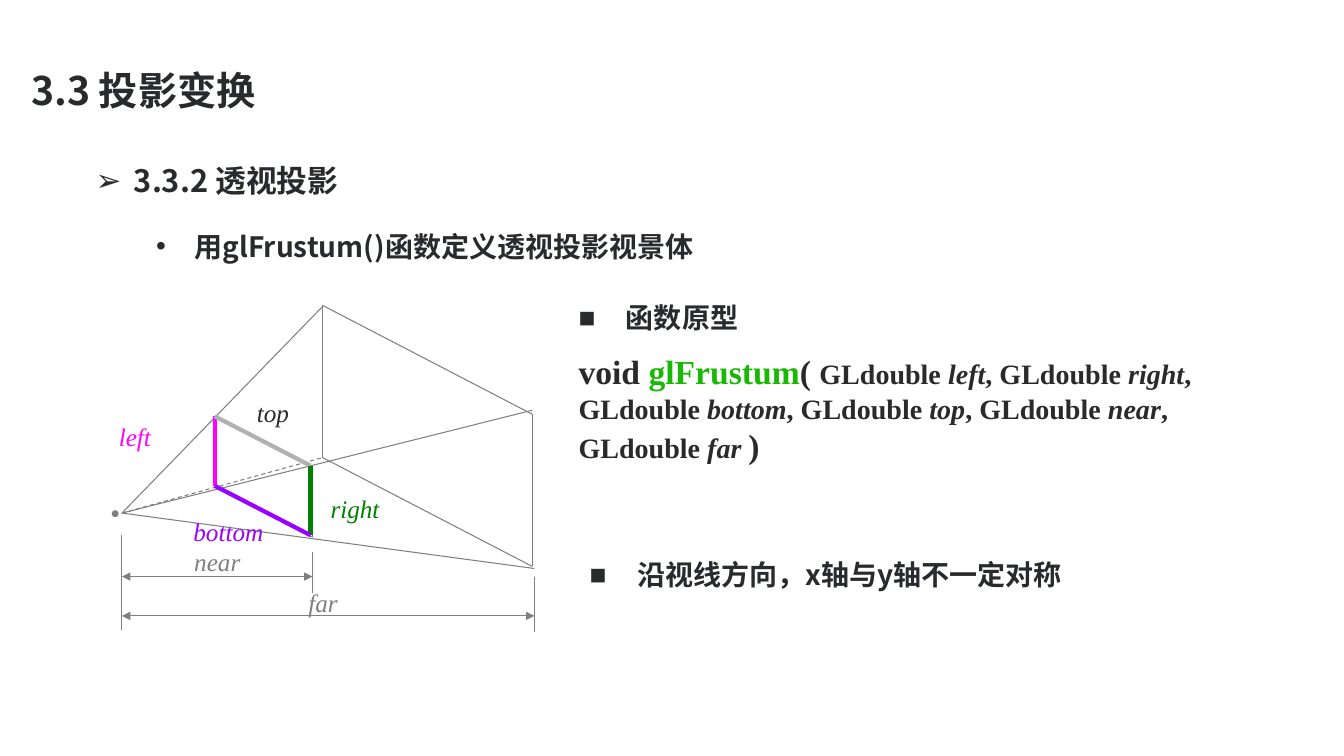
from dataclasses import dataclass

from lxml import etree
from pptx import Presentation
from pptx.dml.color import RGBColor
from pptx.enum.dml import MSO_LINE
from pptx.enum.shapes import MSO_CONNECTOR
from pptx.enum.text import MSO_ANCHOR, MSO_AUTO_SIZE, PP_ALIGN
from pptx.oxml.ns import qn
from pptx.util import Inches, Pt

STRAIGHT = MSO_CONNECTOR.STRAIGHT
DASH = MSO_LINE.DASH
TOP, MIDDLE = MSO_ANCHOR.TOP, MSO_ANCHOR.MIDDLE
LEFT, CENTER = PP_ALIGN.LEFT, PP_ALIGN.CENTER
GROW = MSO_AUTO_SIZE.SHAPE_TO_FIT_TEXT


@dataclass(frozen=True)
class Theme:
    """Colours, fonts, type sizes and line widths of the slide."""
    heading: str = "282A2C"
    ink: str = "2A2A2A"
    grey: str = "7F7F7F"
    function: str = "19B804"
    left: str = "FF00FF"
    top: str = "B0B1B3"
    right: str = "008000"
    bottom: str = "9900FF"
    sans: str = "Noto Sans CJK SC"
    serif: str = "Times New Roman"
    symbol: str = "Arial"
    title_size: int = 28
    section_size: int = 22
    body_size: int = 20
    code_size: int = 24
    label_size: int = 18
    thin: float = 0.75
    thick: float = 3


class FrustumSlide:
    """Draws text and lines on one slide in a shared style."""

    def __init__(self, presentation, theme):
        self.theme = theme
        self.slide = presentation.slides.add_slide(presentation.slide_layouts[6])

    def text_box(self, left, top, width, height, inset=(0.1, 0.05), anchor=TOP, grow=True):
        """Add an empty wrapping text box and return its text frame."""
        box = self.slide.shapes.add_textbox(
            Inches(left), Inches(top), Inches(width), Inches(height))
        across, down = map(Inches, inset)
        layout = {"word_wrap": True, "vertical_anchor": anchor,
                  "margin_left": across, "margin_right": across,
                  "margin_top": down, "margin_bottom": down}
        if grow:
            layout["auto_size"] = GROW
        for name, value in layout.items():
            setattr(box.text_frame, name, value)
        return box.text_frame

    def paragraph(self, frame, runs, bullet=None, indent=(0, 0), **layout):
        """Fill the first empty paragraph, or a new one, with runs."""
        paragraph = frame.paragraphs[0]
        if paragraph.runs:
            paragraph = frame.add_paragraph()
        for name, value in layout.items():
            setattr(paragraph, name, value)
        if bullet:
            properties = paragraph._p.get_or_add_pPr()
            properties.set("marL", str(Inches(indent[0])))
            properties.set("indent", str(Inches(indent[1])))
            etree.SubElement(properties, qn("a:buFont"), typeface=self.theme.symbol)
            etree.SubElement(properties, qn("a:buChar"), char=bullet)
        for wording, style in runs:
            self.run(paragraph, wording, **style)

    def run(self, paragraph, wording, face, size, colour, **style):
        """Add one run of styled text."""
        run = paragraph.add_run()
        run.text = wording
        run.font.color.rgb = RGBColor.from_string(colour)
        for name, value in {"name": face, "size": Pt(size), **style}.items():
            setattr(run.font, name, value)
        etree.SubElement(run._r.get_or_add_rPr(), qn("a:ea"), typeface=face)

    def label(self, wording, left, top, width, colour, align=LEFT):
        """Add an italic label to the diagram."""
        style = {"face": self.theme.serif, "size": self.theme.label_size,
                 "colour": colour, "italic": True}
        self.paragraph(self.text_box(left, top, width, 0.4), [(wording, style)],
                       alignment=align)

    def line(self, start, end, colour=None, width=None, dash=None, arrows=False):
        """Add a straight line, with arrowheads at both ends if asked."""
        connector = self.slide.shapes.add_connector(
            STRAIGHT, *map(Inches, (*start, *end)))
        connector.line.color.rgb = RGBColor.from_string(colour or self.theme.grey)
        connector.line.width = Pt(width or self.theme.thin)
        if dash:
            connector.line.dash_style = dash
        if arrows:
            outline = connector.line._get_or_add_ln()
            for tip in ("a:headEnd", "a:tailEnd"):
                etree.SubElement(outline, qn(tip), type="triangle")
        etree.SubElement(connector._element.spPr, qn("a:effectLst"))

    def plane(self, corner, across, slope, height, colours=(None,) * 4, width=None):
        """Add the left, top, right and bottom edges of a clipping plane."""
        x, y = corner
        upper_right = (x + across, y + slope)
        lower_left = (x, y + height)
        lower_right = (x + across, y + slope + height)
        edges = ((corner, lower_left), (corner, upper_right),
                 (upper_right, lower_right), (lower_left, lower_right))
        for (start, end), colour in zip(edges, colours):
            self.line(start, end, colour, width)


def draw_headings(page):
    """Add the title and the section headings."""
    theme = page.theme
    heading = {"face": theme.sans, "colour": theme.heading, "bold": True}
    title = page.text_box(0.26, 0.3, 12, 1.25, (0.05, 0.05), MIDDLE, False)
    page.paragraph(title, [("3.3 投影变换", {**heading, "size": theme.title_size})],
                   line_spacing=0.9)
    section = page.text_box(0.45, 1.47, 12, 1.81, (0.1, 0.1), grow=False)
    page.paragraph(section, [("3.3.2 透视投影", {**heading, "size": theme.section_size})],
                   "➢", (0.78, -0.38), line_spacing=1.1, space_before=Pt(24))
    page.paragraph(section, [("用glFrustum()函数定义透视投影视景体",
                              {**heading, "size": theme.body_size})],
                   "•", (1.38, -0.38), line_spacing=1.4, space_before=Pt(12))


def draw_frustum(page):
    """Add the view volume with its dimensions and labels."""
    theme = page.theme
    eye = (1.21, 5.09)
    near_x, far_x = 3.1, 5.3
    page.plane((2.15, 4.14), 0.95, 0.5, 0.69)
    page.paragraph(page.text_box(1, 4.88, 0.42, 0.4), [
        ("•", {"face": theme.symbol, "size": theme.label_size, "colour": theme.grey})])
    for corner, dash in (((3.2, 3.04), None), ((far_x, 5.64), None),
                         ((3.2, 4.54), DASH), ((5.28, 4.07), None)):
        page.line(eye, corner, dash=dash)
    page.plane((3.2, 3.03), 2.08, 1.08, 1.51)
    for x, top, bottom in ((near_x, 5.48, 5.88), (far_x, 5.72, 6.27), (eye[0], 5.31, 6.25)):
        page.line((x, top), (x, bottom))
    for name, end, y, left, top in (("far", far_x, 6.11, 2.68, 5.78),
                                    ("near", near_x, 5.72, 1.63, 5.37)):
        page.line((eye[0], y), (end, y), arrows=True)
        page.label(name, left, top, 1.05, theme.grey, CENTER)
    page.plane((2.13, 4.13), 0.95, 0.49, 0.69,
               (theme.left, theme.top, theme.right, theme.bottom), theme.thick)
    for name, left, top, width, colour in (("top", 2.45, 3.89, 0.84, theme.ink),
                                           ("right", 3.18, 4.84, 1.16, theme.right),
                                           ("left", 1.08, 4.13, 0.84, theme.left),
                                           ("bottom", 1.82, 5.07, 1.47, theme.bottom)):
        page.label(name, left, top, width, colour)


def draw_prototype(page):
    """Add the function prototype and the remark on symmetry."""
    theme = page.theme
    point = {"face": theme.sans, "size": theme.body_size,
             "colour": theme.heading, "bold": True}
    bullet = {"bullet": "■", "indent": (0.47, -0.47),
              "line_spacing": 0.9, "space_before": Pt(12)}
    code = {"face": theme.serif, "size": theme.code_size,
            "colour": theme.ink, "bold": True}
    argument = {**code, "size": theme.body_size}
    signature = [("void ", code), ("glFrustum", {**code, "colour": theme.function}),
                 ("( ", code)]
    separator = ""
    for name in ("left", "right", "bottom", "top", "near", "far"):
        signature += [(separator + "GLdouble ", argument),
                      (name, {**argument, "italic": True})]
        separator = ", "
    signature += [(" ", {**code, "face": theme.symbol, "size": theme.label_size}),
                  (")", code)]
    prototype = page.text_box(5.64, 2.97, 6.93, 1.81)
    page.paragraph(prototype, [("函数原型", point)], **bullet)
    page.paragraph(prototype, signature, space_before=Pt(12))
    remark = page.text_box(5.75, 5.52, 6.72, 0.4)
    page.paragraph(remark, [("沿视线方向，x轴与y轴不一定对称", point)], **bullet)


def main():
    """Build and save the presentation."""
    presentation = Presentation()
    presentation.slide_width = Inches(13.33)
    presentation.slide_height = Inches(7.5)
    page = FrustumSlide(presentation, Theme())
    draw_headings(page)
    draw_frustum(page)
    draw_prototype(page)
    presentation.save("out.pptx")


if __name__ == "__main__":
    main()
